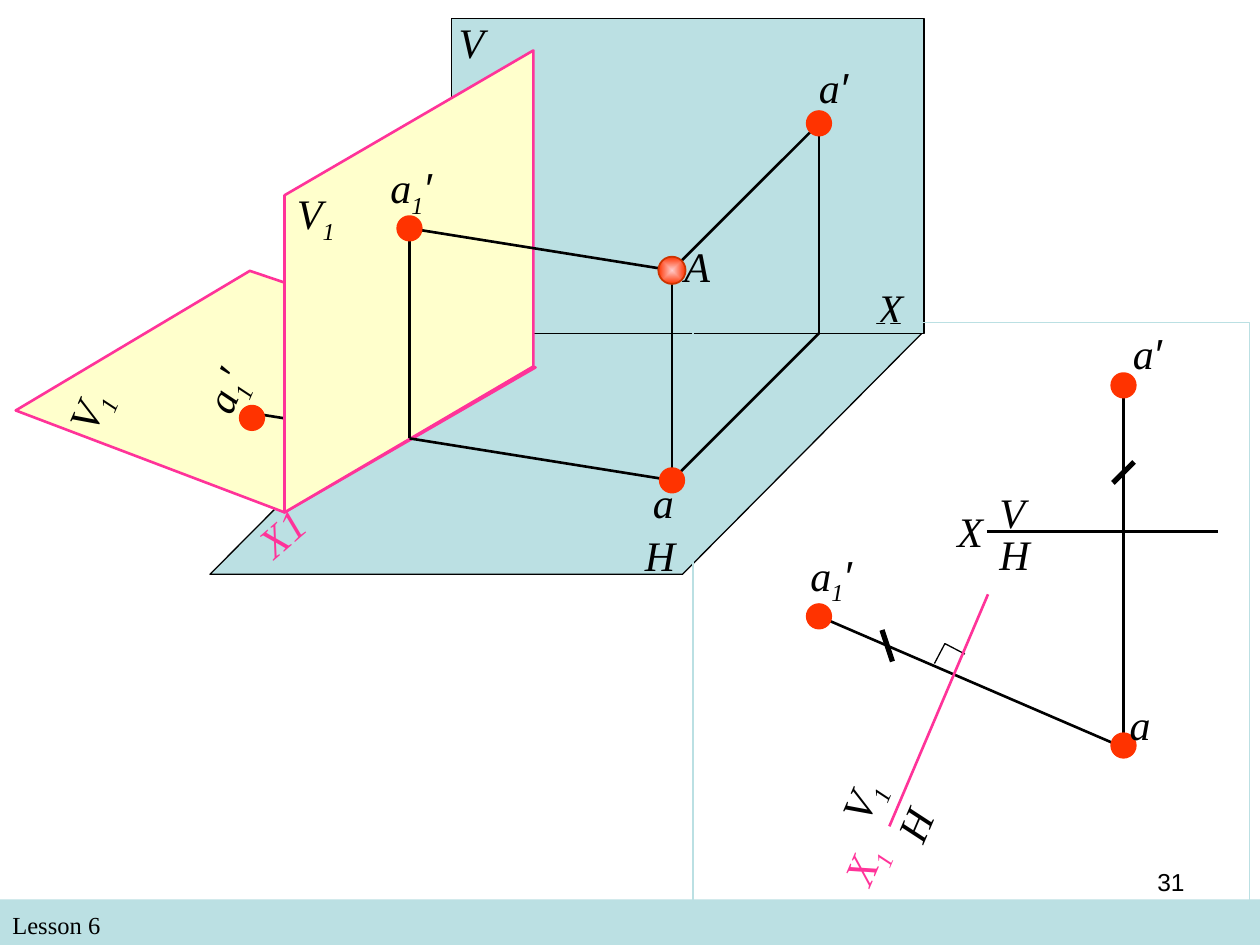
from lxml.etree import SubElement
from pptx import Presentation
from pptx.dml.color import RGBColor
from pptx.enum.shapes import MSO_CONNECTOR, MSO_SHAPE
from pptx.enum.text import PP_ALIGN
from pptx.oxml.ns import qn
from pptx.util import Pt

BLACK = RGBColor(0x00, 0x00, 0x00)
TEAL = RGBColor(0xBB, 0xE0, 0xE3)
CREAM = RGBColor(0xFF, 0xFF, 0xCC)
PINK = RGBColor(0xFF, 0x33, 0x99)
RED = RGBColor(0xFF, 0x33, 0x00)
DARK_RED = RGBColor(0xCC, 0x33, 0x00)
PALE_RED = RGBColor(0xFF, 0xCC, 0xCC)
CELL = Pt(6)
COLUMNS, ROWS = 120, 90

prs = Presentation()
prs.slide_width, prs.slide_height = COLUMNS * CELL, ROWS * CELL
slide = prs.slides.add_slide(prs.slide_layouts[6])
shapes = slide.shapes


def label(letter, sub, prime, column, row, width, angle=0, color=BLACK):
    box = shapes.add_textbox(*(round(n * CELL) for n in (column, row, width, 6.7 if sub else 6)))
    box.rotation = angle
    box.text_frame.word_wrap = True
    paragraph = box.text_frame.paragraphs[0]
    for part, font_name in ((letter, "Times New Roman"), (sub, "Times New Roman"), (prime, "Arial")):
        if part:
            run = paragraph.add_run()
            run.text = part
            run.font.name = font_name
            run.font.size = Pt(24)
            run.font.italic = True
            run.font.color.rgb = color
            if part == sub:
                run._r.get_or_add_rPr().set("baseline", "-25000")


def outline(points, fill, color, width):
    corners = [(round(x * CELL), round(y * CELL)) for x, y in points]
    builder = shapes.build_freeform(*corners[0])
    builder.add_line_segments(corners[1:], close=fill is not None)
    figure = builder.convert_to_shape()
    figure.shadow.inherit = False
    figure.line.color.rgb = color
    figure.line.width = Pt(width)
    if fill is None:
        figure.fill.background()
    else:
        figure.fill.solid()
        figure.fill.fore_color.rgb = fill


band = shapes.add_shape(MSO_SHAPE.RECTANGLE, 0, round(85.65 * CELL), COLUMNS * CELL, round(4.35 * CELL))
band.shadow.inherit = False
band.fill.solid()
band.fill.fore_color.rgb = TEAL
band.line.fill.background()

outline([(42.8, 31.75), (20, 54.7), (65, 54.7), (87.8, 31.75)], TEAL, BLACK, 0.75)
outline([(43, 1.75), (88, 1.75), (88, 31.75), (43, 31.75)], TEAL, BLACK, 0.75)
label("X", "", "", 82.4, 26.3, 6)

frame = shapes.add_shape(MSO_SHAPE.RECTANGLE, 66 * CELL, round(30.7 * CELL), 53 * CELL, 58 * CELL)
frame.shadow.inherit = False
frame.fill.background()
frame.line.color.rgb = TEAL
frame.line.width = Pt(0.75)
shapes._spTree.remove(band._element)
shapes._spTree.append(band._element)

outline([(27.1, 48.8), (1.5, 39.1), (23.8, 25.8), (51, 35)], CREAM, PINK, 1.5)
outline([(39, 41.75), (24, 39.35)], None, BLACK, 1.5)
outline([(27.1, 48.8), (50.8, 34.9), (50.8, 4.8), (27.1, 18.6)], CREAM, PINK, 1.5)
outline([(89, 63.2), (90, 61.3), (91.9, 62.3)], None, BLACK, 0.75)

for x1, y1, x2, y2, color, weight in (
    (39, 21.75, 39, 41.75, BLACK, 1.5),
    (64, 45.75, 39, 41.75, BLACK, 1.5),
    (64, 25.75, 39, 21.75, BLACK, 1.5),
    (78, 11.75, 78, 31.75, BLACK, 1.5),
    (78, 31.75, 64, 45.75, BLACK, 1.5),
    (78, 11.75, 64, 25.75, BLACK, 1.5),
    (64, 25.75, 64, 45.75, BLACK, 1.5),
    (94, 50.6, 116, 50.6, BLACK, 1.5),
    (107, 36.7, 107, 71.6, BLACK, 1.5),
    (78, 58.7, 107, 71.2, BLACK, 1.5),
    (94.1, 56.6, 84.7, 78.7, PINK, 1.5),
    (108, 44, 106, 46, BLACK, 3),
    (84, 60, 85, 63, BLACK, 3),
):
    segment = shapes.add_connector(MSO_CONNECTOR.STRAIGHT, *(round(n * CELL) for n in (x1, y1, x2, y2)))
    segment.line.color.rgb = color
    segment.line.width = Pt(weight)
    SubElement(segment._element.spPr, qn("a:effectLst"))

for x, y, diameter, edge, weight in (
    (78, 58.7, 2, RED, 3),
    (107, 36.7, 2, RED, 3),
    (107, 71, 2, RED, 3),
    (24, 39.8, 2, RED, 3),
    (39, 21.75, 2, RED, 3),
    (78, 11.75, 2, RED, 3),
    (64, 45.75, 2, RED, 3),
    (64, 25.75, 2.6, DARK_RED, 1),
):
    corner = (round((n - diameter / 2) * CELL) for n in (x, y))
    point = shapes.add_shape(MSO_SHAPE.OVAL, *corner, round(diameter * CELL), round(diameter * CELL))
    point.shadow.inherit = False
    point.fill.solid()
    point.fill.fore_color.rgb = RED
    point.line.color.rgb = edge
    point.line.width = Pt(weight)

point.fill.gradient()
for stop, color, position in zip(point.fill.gradient_stops, (PALE_RED, RED), (0, 1)):
    stop.color.rgb = color
    stop.position = position
gradient = point._element.spPr.find(qn("a:gradFill"))
gradient.remove(gradient.find(qn("a:lin")))
radial = SubElement(gradient, qn("a:path"), {"path": "rect"})
SubElement(radial, qn("a:fillToRect"), {side: "50000" for side in "ltrb"})

for spec_row in (
    ("V", "", "", 42.5, 1, 6),
    ("H", "", "", 60.25, 49.8, 7.5),
    ("a", "", "′", 76.8, 5.3, 8),
    ("A", "", "", 64, 22.3, 6.4),
    ("a", "", "", 61, 44.8, 8),
    ("V", "1", "", 27.1, 17.3, 9),
    ("a", "1", "′", 36, 14.8, 7),
    ("X1", "", "", 23, 46.7, 10, 319.3, PINK),
    ("V", "1", "", 4, 33.4, 11.3, 293.4),
    ("a", "1", "′", 16.7, 31.2, 12.4, 293.4),
    ("a", "", "′", 106.7, 30.6, 8),
    ("X", "", "", 90, 47.6, 6),
    ("V", "", "", 94, 45.7, 5),
    ("H", "", "", 94, 49.7, 5),
    ("a", "", "", 106.4, 65.9, 7),
    ("a", "1", "′", 76, 51.7, 8),
    ("X", "1", "", 78.2, 77.3, 10, 293.1, PINK),
    ("H", "", "", 84.5, 75.7, 5, 293.1),
    ("V", "1", "", 77.9, 71, 10.3, 293.1),
):
    label(*spec_row)

for words, column, row, width, height, font_name, alignment in (
    ("Lesson 6", 0, 86.05, 58, 4.1, "Times New Roman", PP_ALIGN.LEFT),
    ("31", 86, 82, 28, 6.2, "Arial", PP_ALIGN.RIGHT),
):
    footer = shapes.add_textbox(*(round(n * CELL) for n in (column, row, width, height)))
    footer.text_frame.word_wrap = True
    footer.text_frame.text = words
    paragraph = footer.text_frame.paragraphs[0]
    paragraph.alignment = alignment
    paragraph.font.name = font_name
    paragraph.font.size = Pt(14)
    paragraph.font.color.rgb = BLACK

prs.save("out.pptx")
